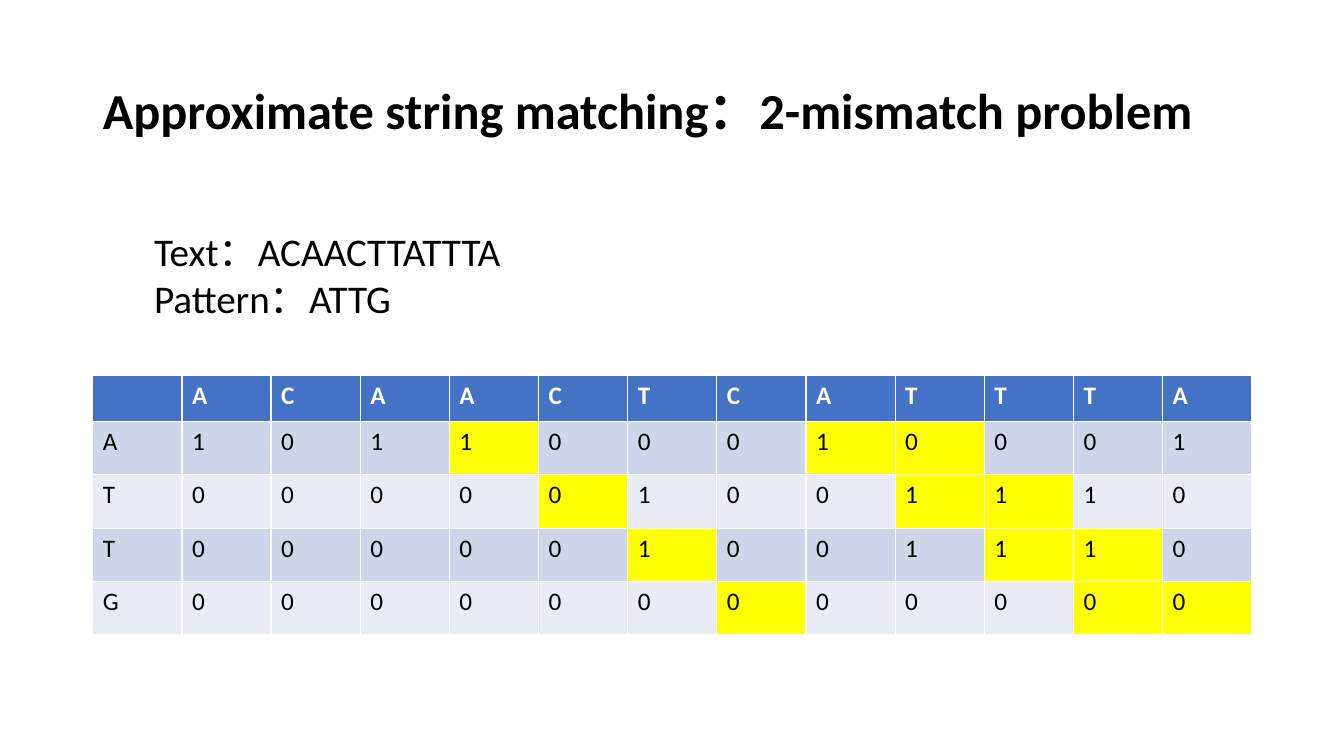
from dataclasses import dataclass

from pptx import Presentation
from pptx.dml.color import RGBColor as RGB
from pptx.enum.text import MSO_ANCHOR as Anchor, MSO_AUTO_SIZE as AutoSize, PP_ALIGN as Align
from pptx.table import Table
from pptx.text.text import Font
from pptx.util import Inches, Pt

COLORS = {
    "black": "000000",
    "white": "FFFFFF",
    "header": "4472C4",
    "odd": "CFD5EA",
    "even": "E9EBF5",
    "match": "FFFF00",
}
FORMATS = {
    "title": {"name": "Calibri", "size": Pt(36), "bold": True},
    "strings": {"name": "Calibri", "size": Pt(28), "bold": False},
    "header": {"name": "Calibri", "size": Pt(18), "bold": True},
    "body": {"name": "Calibri", "size": Pt(18), "bold": False},
}
TEXT = "ACAACTCATTTA"
PATTERN = "ATTG"
MATCH_STARTS = (4, 8, 9)


@dataclass
class GridCell:
    row: int
    col: int
    text: str
    fill: str
    style: str = "body"
    color: str = "black"


def format_font(font: Font, style: str, color: str = "black") -> None:
    for key, value in FORMATS[style].items():
        setattr(font, key, value)
    font.color.rgb = RGB.from_string(COLORS[color])


def match_cells() -> list[GridCell]:
    cells = [GridCell(0, col, letter, "header", "header", "white")
             for col, letter in enumerate(" " + TEXT)]
    cells[0].text = ""
    for row, letter in enumerate(PATTERN, 1):
        band = "odd" if row % 2 else "even"
        cells.append(GridCell(row, 0, letter, band))
        for col, char in enumerate(TEXT, 1):
            fill = "match" if col - row + 1 in MATCH_STARTS else band
            cells.append(GridCell(row, col, str(int(char == letter)), fill))
    return cells


def draw_cell(table: Table, item: GridCell) -> None:
    cell = table.cell(item.row, item.col)
    cell.fill.solid()
    cell.fill.fore_color.rgb = RGB.from_string(COLORS[item.fill])
    p = cell.text_frame.paragraphs[0]
    p.text = item.text
    format_font(p.font, item.style, item.color)
    for r in p.runs:
        format_font(r.font, item.style, item.color)


def main() -> None:
    prs = Presentation()
    prs.slide_width, prs.slide_height = Inches(13.33), Inches(7.5)
    s = prs.slides.add_slide(prs.slide_layouts[5])

    title = s.shapes.title
    title.left, title.top = Inches(0.92), Inches(0.4)
    title.width, title.height = Inches(11.5), Inches(1.45)
    tf = title.text_frame
    tf.auto_size = AutoSize.NONE
    tf.vertical_anchor = Anchor.MIDDLE
    p = tf.paragraphs[0]
    p.alignment, p.line_spacing = Align.LEFT, 0.9
    r = p.add_run()
    r.text = "Approximate string matching：2-mismatch problem"
    format_font(r.font, "title")

    rows, cols = len(PATTERN) + 1, len(TEXT) + 1
    table = s.shapes.add_table(rows, cols, Inches(0.92), Inches(3.72),
                               Inches(11.5), Inches(2.58)).table
    for col in table.columns:
        col.width = Inches(11.5 / cols)
    for i, row in enumerate(table.rows):
        row.height = Inches(0.53 if i else 0.46)
    for item in match_cells():
        draw_cell(table, item)

    box = s.shapes.add_textbox(Inches(1.43), Inches(2.21), Inches(4.6), Inches(1.04))
    tf = box.text_frame
    tf.word_wrap = True
    tf.auto_size = AutoSize.SHAPE_TO_FIT_TEXT
    p = tf.paragraphs[0]
    for i, line in enumerate(("Text：ACAACTTATTTA", "Pattern：ATTG")):
        if i:
            p.add_line_break()
        r = p.add_run()
        r.text = line
        format_font(r.font, "strings")

    prs.save("out.pptx")


if __name__ == "__main__":
    main()
